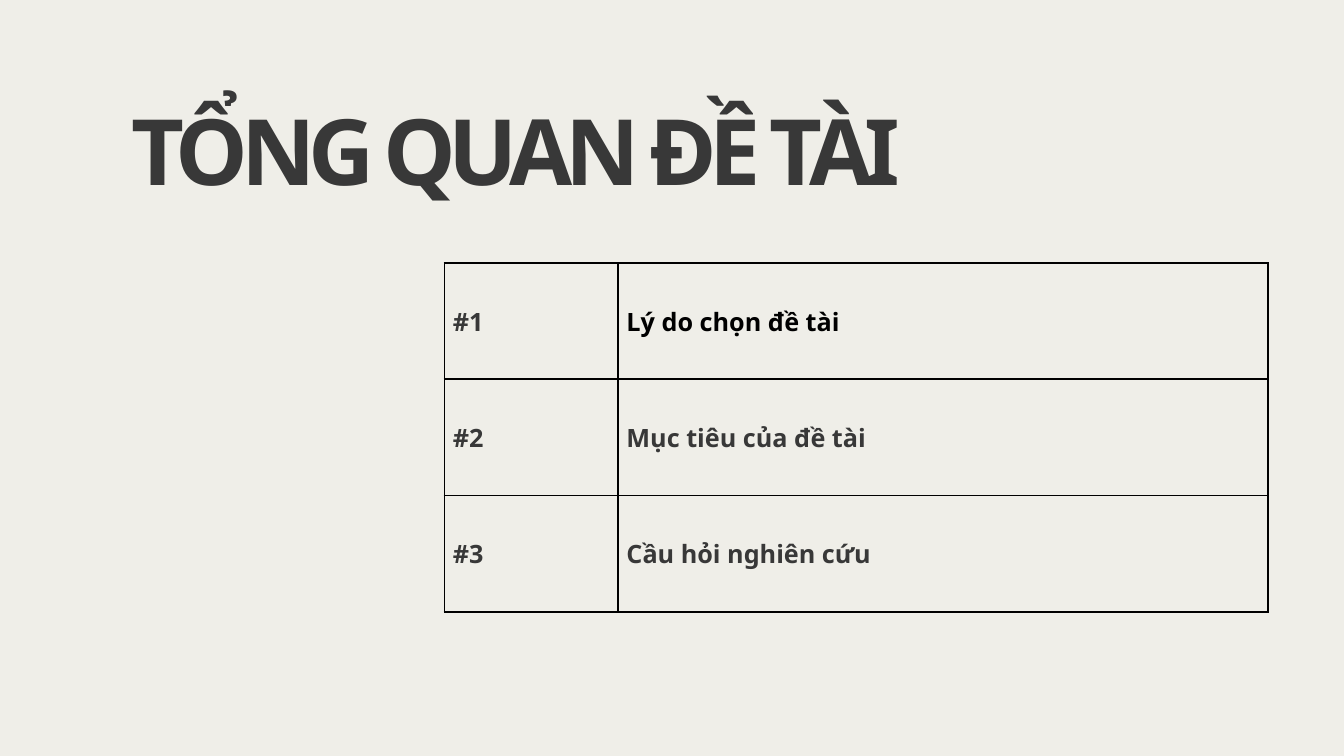
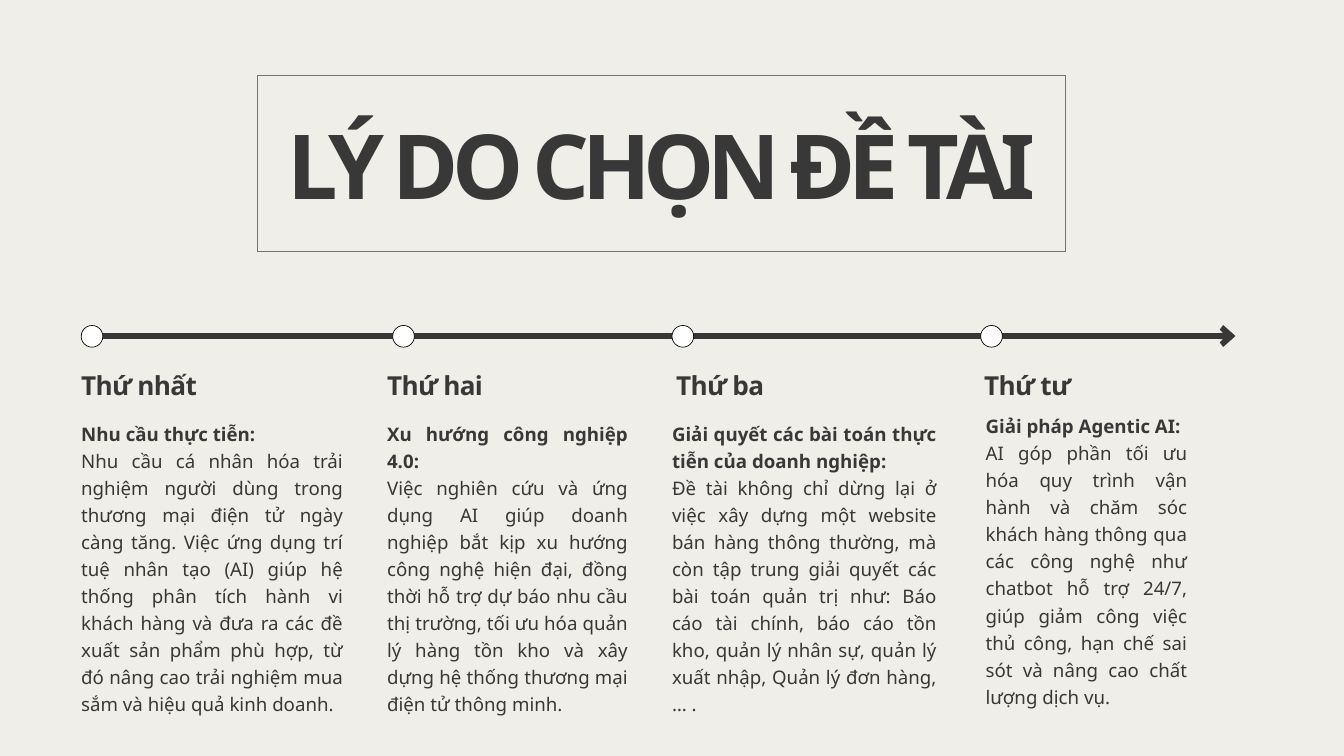
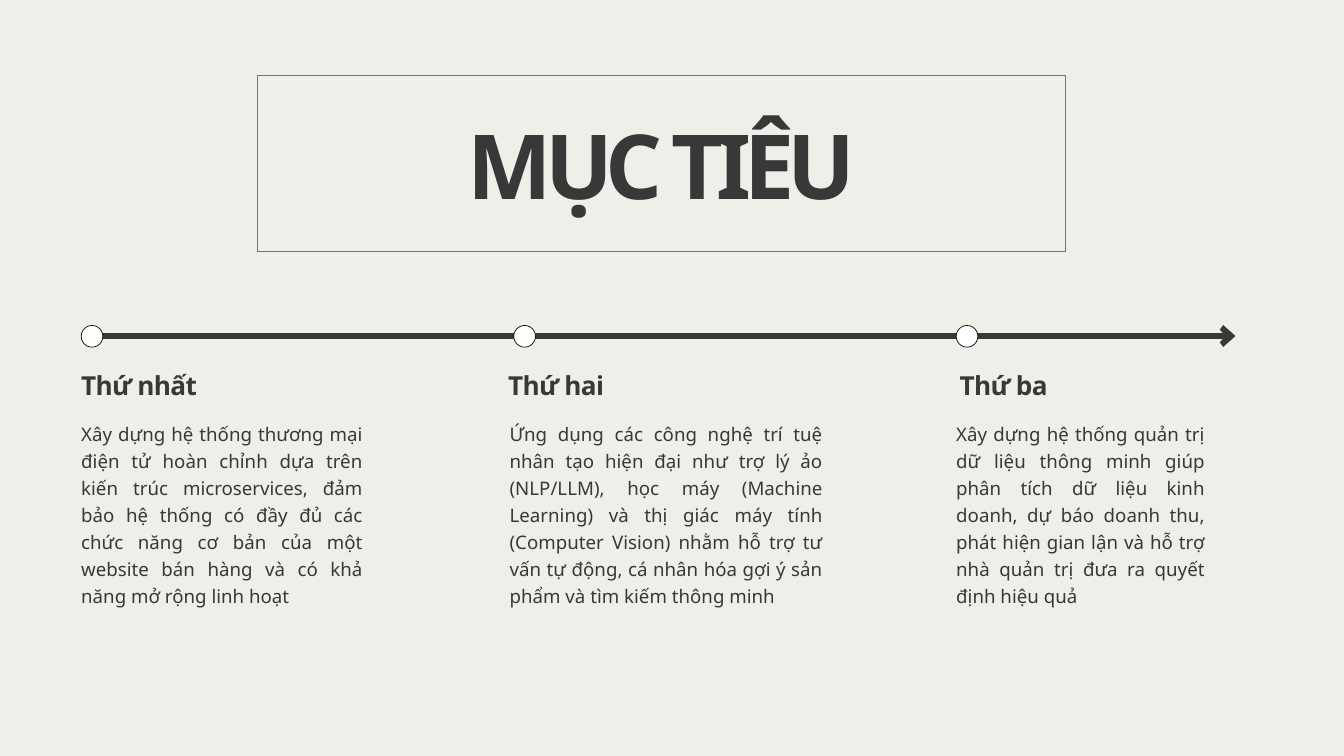
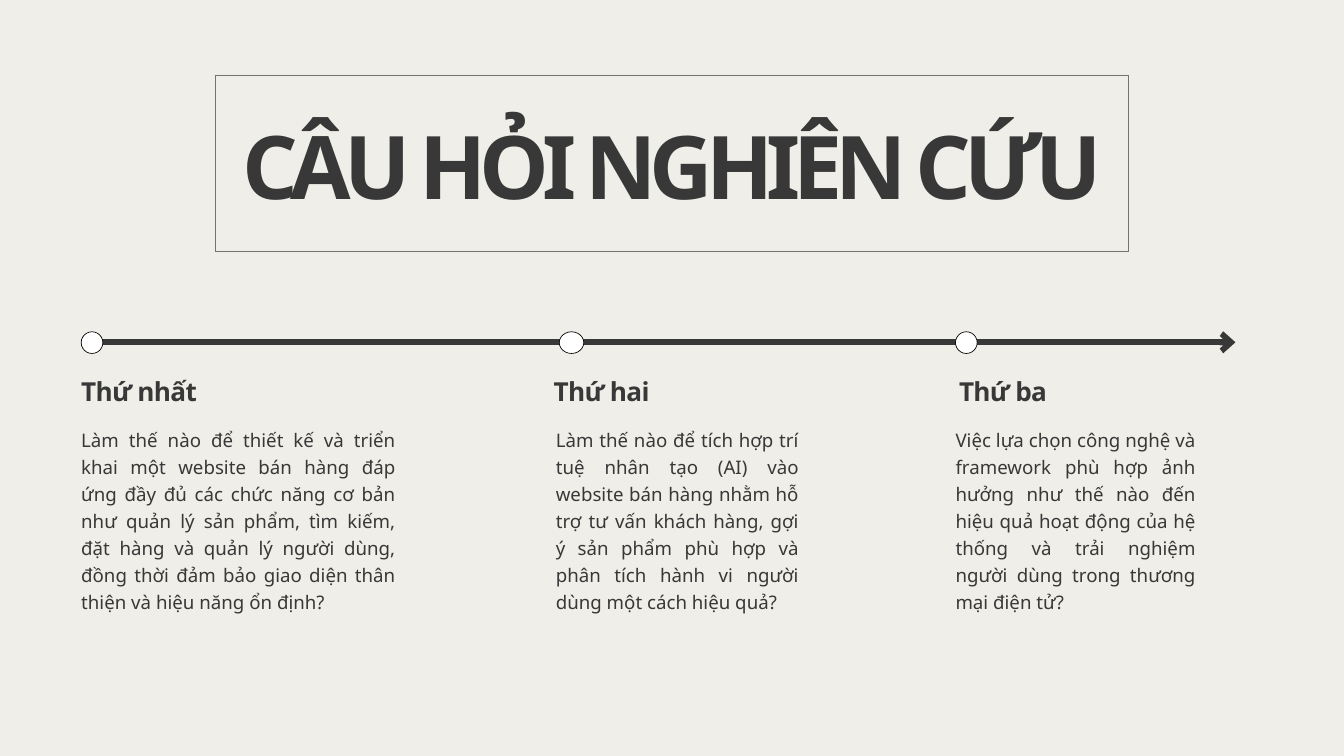
import collections
import dataclasses

import pptx
import pptx.dml.color
import pptx.enum.shapes
import pptx.enum.text
import pptx.oxml
import pptx.oxml.ns
import pptx.util

PX = 9525  # EMU in one px: the slide is 1920 x 1080 px
FONT = "Noto Sans"
PAPER, INK, BLACK, WHITE, FRAME = "EFEEE8", "383838", "000000", "FFFFFF", "737373"
INSET = 12
DOT = 31
ORDINALS = ["Thứ nhất", "Thứ hai", "Thứ ba", "Thứ tư"]
ALIGN = pptx.enum.text.PP_ALIGN
ANCHOR = pptx.enum.text.MSO_ANCHOR

Box = collections.namedtuple("Box", "left top width height")
TITLE_FRAME = Box(368, 108, 1154, 251)
TIMELINE = Box(116, 465, 1649, DOT)


@dataclasses.dataclass
class Step:
    """One stop of a timeline; the x values count from its left end."""
    dot: int
    label: int
    body: int
    width: int
    text: str
    heading: str = ""
    height: int = 264
    rise: int = 0
    dot_width: int = DOT


def emu(*lengths):
    return [pptx.util.Emu(length * PX) for length in lengths]


def color(hex_string):
    return pptx.dml.color.RGBColor.from_string(hex_string)


def add_xml(parent, tag, **attributes):
    child = pptx.oxml.parse_xml(f"<a:{tag} {pptx.oxml.ns.nsdecls('a')}/>")
    for name, value in attributes.items():
        child.set(name, str(value))
    parent.append(child)
    return child


def style(para, size, leading, align=ALIGN.LEFT, bold=True, ink=INK, tracking=0):
    para.alignment = align
    para.line_spacing = pptx.util.Pt(leading)
    font = para.font
    font.name, font.size, font.bold = FONT, pptx.util.Pt(size), bold
    font.color.rgb = color(ink)
    if tracking:
        defaults = para._p.pPr.find(pptx.oxml.ns.qn("a:defRPr"))
        defaults.set("spc", str(round(tracking * 100)))


def set_margins(holder, margin):
    (edge,) = emu(margin)
    holder.margin_left = holder.margin_right = edge
    holder.margin_top = holder.margin_bottom = edge


def add_table(page, box, widths, row_count):
    table = page.shapes.add_table(row_count, len(widths), *emu(*box)).table
    table.first_row = table.horz_banding = False
    for column, width in zip(table.columns, emu(*widths)):
        column.width = width
    for row in table.rows:
        (row.height,) = emu(box.height // row_count)
    return table


def fill_cell(cell, text, anchor, border, border_width, **text_style):
    cell.text = text
    cell.vertical_anchor = anchor
    set_margins(cell, INSET)
    style(cell.text_frame.paragraphs[0], **text_style)
    for side in ("lnL", "lnR", "lnT", "lnB"):
        line = add_xml(cell._tc.get_or_add_tcPr(), side, w=pptx.util.Pt(border_width))
        add_xml(add_xml(line, "solidFill"), "srgbClr", val=border)
    cell.fill.background()


def add_page(deck, title, box, size, anchor=ANCHOR.MIDDLE, border=FRAME):
    """Add a slide headed by its title in a one-cell table."""
    page = deck.slides.add_slide(deck.slide_layouts[6])
    table = add_table(page, box, [box.width], 1)
    fill_cell(table.cell(0, 0), title, anchor, border, 0.75, size=size,
              leading=size * 1.4, align=ALIGN.CENTER, tracking=-size * 0.08)
    return page


def add_agenda(page, box, number_width, topics):
    widths = [number_width, box.width - number_width]
    table = add_table(page, box, widths, len(topics))
    for number, (topic, ink) in enumerate(topics, 1):
        cells = table.rows[number - 1].cells
        for cell, text, shade in zip(cells, (f"#{number}", topic), (INK, ink)):
            fill_cell(cell, text, ANCHOR.MIDDLE, BLACK, 2.25,
                      size=27, leading=37.8, ink=shade)


def add_text(page, box, lines):
    """Add a text box; each line is its text and its style arguments."""
    frame = page.shapes.add_textbox(*emu(*box)).text_frame
    frame.word_wrap = True
    frame.auto_size = pptx.enum.text.MSO_AUTO_SIZE.SHAPE_TO_FIT_TEXT
    set_margins(frame, 0)
    for index, (text, options) in enumerate(lines):
        para = frame.add_paragraph() if index else frame.paragraphs[0]
        para.text = text
        style(para, **options)


def add_arrow(page, box):
    middle = box.top + box.height // 2
    arrow = page.shapes.add_connector(
        pptx.enum.shapes.MSO_CONNECTOR.STRAIGHT,
        *emu(box.left, middle, box.left + box.width, middle))
    arrow.line.color.rgb = color(INK)
    arrow.line.width = pptx.util.Pt(6.75)
    add_xml(arrow.line._get_or_add_ln(), "tailEnd", type="arrow", len="sm")
    add_xml(arrow._element.spPr, "effectLst")


def add_dot(page, box):
    dot = page.shapes.add_shape(pptx.enum.shapes.MSO_SHAPE.OVAL, *emu(*box))
    dot.shadow.inherit = False
    dot.fill.solid()
    dot.fill.fore_color.rgb = color(WHITE)
    dot.line.color.rgb = color(BLACK)
    dot.line.width = pptx.util.Pt(0.75)


def add_timeline(page, box, steps):
    add_arrow(page, box)
    label_style = dict(size=28, leading=35.8, tracking=-0.7)
    body_style = dict(size=20, leading=29, align=ALIGN.JUSTIFY)
    for ordinal, step in zip(ORDINALS, steps):
        add_dot(page, Box(box.left + step.dot, box.top, step.dot_width, box.height))
        add_text(page, Box(box.left + step.label, box.top + 60, step.width, 45),
                 [(ordinal, label_style)])
        lines = [(step.text, dict(body_style, bold=False))]
        if step.heading:
            lines.insert(0, (step.heading, body_style))
        add_text(page, Box(box.left + step.body, box.top + 132 - step.rise,
                           step.width, step.height), lines)


REASONS = [
    Step(0, 0, 0, 374,
         "Nhu cầu cá nhân hóa trải nghiệm người dùng trong thương mại điện tử ngày "
         "càng tăng. Việc ứng dụng trí tuệ nhân tạo (AI) giúp hệ thống phân tích hành "
         "vi khách hàng và đưa ra các đề xuất sản phẩm phù hợp, từ đó nâng cao trải "
         "nghiệm mua sắm và hiệu quả kinh doanh.",
         "Nhu cầu thực tiễn:", 416),
    Step(445, 437, 437, 344,
         "Việc nghiên cứu và ứng dụng AI giúp doanh nghiệp bắt kịp xu hướng công nghệ "
         "hiện đại, đồng thời hỗ trợ dự báo nhu cầu thị trường, tối ưu hóa quản lý "
         "hàng tồn kho và xây dựng hệ thống thương mại điện tử thông minh.",
         "Xu hướng công nghiệp 4.0:", 416),
    Step(844, 850, 844, 378,
         "Đề tài không chỉ dừng lại ở việc xây dựng một website bán hàng thông thường, "
         "mà còn tập trung giải quyết các bài toán quản trị như: Báo cáo tài chính, "
         "báo cáo tồn kho, quản lý nhân sự, quản lý xuất nhập, Quản lý đơn hàng, … .",
         "Giải quyết các bài toán thực tiễn của doanh nghiệp:", 416),
    Step(1285, 1290, 1292, 288,
         "AI góp phần tối ưu hóa quy trình vận hành và chăm sóc khách hàng thông qua "
         "các công nghệ như chatbot hỗ trợ 24/7, giúp giảm công việc thủ công, hạn chế "
         "sai sót và nâng cao chất lượng dịch vụ.",
         "Giải pháp Agentic AI:", 416, rise=11),
]

GOALS = [
    Step(0, 0, 0, 402,
         "Xây dựng hệ thống thương mại điện tử hoàn chỉnh dựa trên kiến trúc "
         "microservices, đảm bảo hệ thống có đầy đủ các chức năng cơ bản của một "
         "website bán hàng và có khả năng mở rộng linh hoạt"),
    Step(618, 610, 612, 447,
         "Ứng dụng các công nghệ trí tuệ nhân tạo hiện đại như trợ lý ảo (NLP/LLM), "
         "học máy (Machine Learning) và thị giác máy tính (Computer Vision) nhằm hỗ "
         "trợ tư vấn tự động, cá nhân hóa gợi ý sản phẩm và tìm kiếm thông minh"),
    Step(1250, 1255, 1250, 355,
         "Xây dựng hệ thống quản trị dữ liệu thông minh giúp phân tích dữ liệu kinh "
         "doanh, dự báo doanh thu, phát hiện gian lận và hỗ trợ nhà quản trị đưa ra "
         "quyết định hiệu quả"),
]

QUESTIONS = [
    Step(0, 0, 0, 449,
         "Làm thế nào để thiết kế và triển khai một website bán hàng đáp ứng đầy đủ "
         "các chức năng cơ bản như quản lý sản phẩm, tìm kiếm, đặt hàng và quản lý "
         "người dùng, đồng thời đảm bảo giao diện thân thiện và hiệu năng ổn định?"),
    Step(683, 675, 678, 347,
         "Làm thế nào để tích hợp trí tuệ nhân tạo (AI) vào website bán hàng nhằm hỗ "
         "trợ tư vấn khách hàng, gợi ý sản phẩm phù hợp và phân tích hành vi người "
         "dùng một cách hiệu quả?", dot_width=35),
    Step(1249, 1254, 1249, 343,
         "Việc lựa chọn công nghệ và framework phù hợp ảnh hưởng như thế nào đến hiệu "
         "quả hoạt động của hệ thống và trải nghiệm người dùng trong thương mại điện "
         "tử?"),
]


def main():
    deck = pptx.Presentation()
    deck.slide_width, deck.slide_height = emu(1920, 1080)
    backdrop = deck.slide_master.background.fill
    backdrop.solid()
    backdrop.fore_color.rgb = color(PAPER)

    overview = add_page(deck, "TỔNG QUAN ĐỀ TÀI", Box(108, 108, 1259, 230), 98,
                        ANCHOR.TOP, PAPER)
    add_agenda(overview, Box(635, 376, 1177, 498), 248,
               [("Lý do chọn đề tài", BLACK), ("Mục tiêu của đề tài", INK),
                ("Cầu hỏi nghiên cứu", INK)])

    reasons = add_page(deck, "LÝ DO CHỌN ĐỀ TÀI", TITLE_FRAME, 96)
    add_timeline(reasons, TIMELINE, REASONS)

    goals = add_page(deck, "MỤC TIÊU", TITLE_FRAME, 96)
    add_timeline(goals, TIMELINE, GOALS)

    questions = add_page(deck, "CÂU HỎI NGHIÊN CỨU", Box(307, 108, 1305, 251), 94)
    add_timeline(questions, TIMELINE._replace(top=474), QUESTIONS)

    deck.save("out.pptx")


if __name__ == "__main__":
    main()
